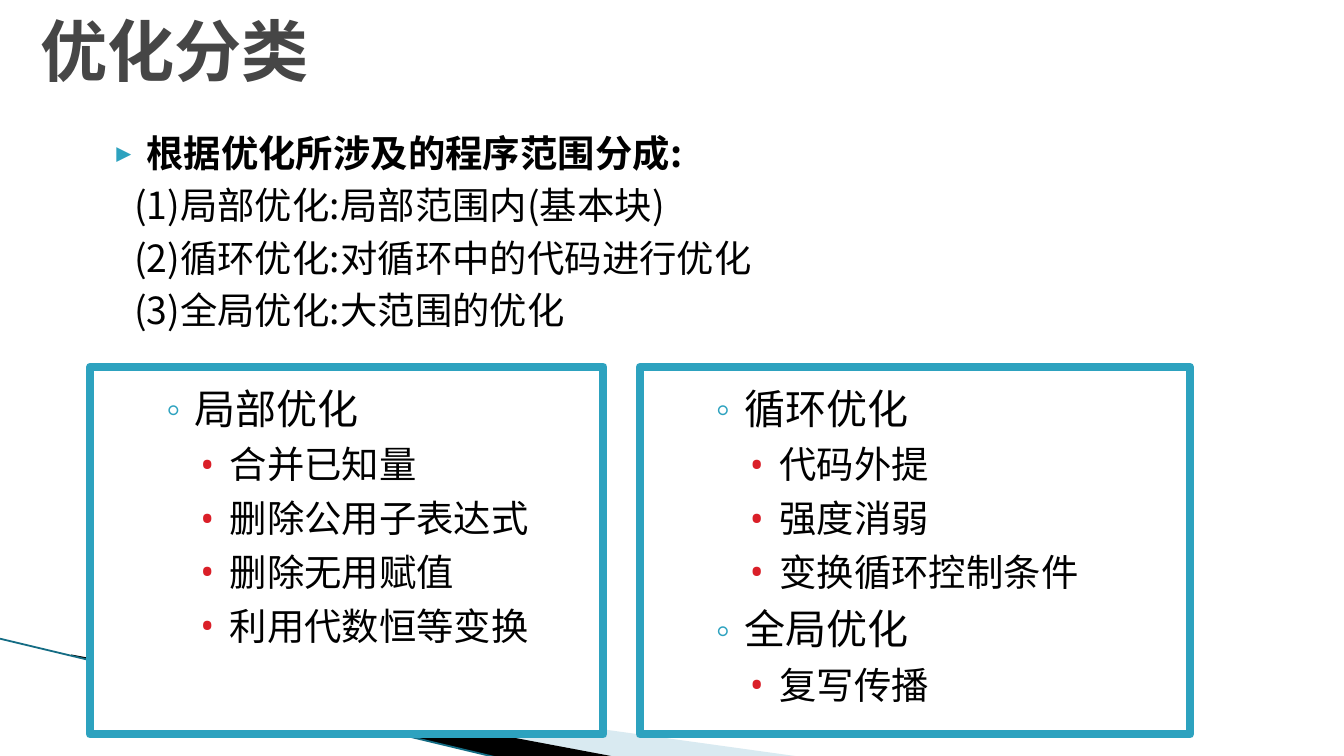
from dataclasses import dataclass

from lxml.etree import SubElement
from pptx import Presentation
from pptx.dml.color import RGBColor
from pptx.enum.shapes import MSO_CONNECTOR as Connector, MSO_SHAPE as Shape
from pptx.enum.text import MSO_ANCHOR as Anchor, PP_ALIGN as Align
from pptx.oxml.ns import qn
from pptx.util import Inches, Pt

COLUMNS, ROWS = 100, 56.25
CELL = Inches(0.1)


@dataclass(frozen=True)
class Theme:
    """Colours, fonts and type sizes of the slide."""
    title: str = "464646"
    text: str = "000000"
    paper: str = "FFFFFF"
    accent: str = "2DA2BF"
    item: str = "DA1F28"
    pale: str = "A0CBDC"
    rule: str = "146C84"
    font: str = "Noto Sans CJK SC"
    mono: str = "Noto Sans Mono"
    title_size: int = 36
    heading_size: int = 22
    body_size: int = 20


THEME = Theme()
INTRO = "根据优化所涉及的程序范围分成:"
SCOPES = ["(1)局部优化:局部范围内(基本块)",
          "(2)循环优化:对循环中的代码进行优化",
          "(3)全局优化:大范围的优化"]
LOCAL = {"局部优化": ["合并已知量", "删除公用子表达式", "删除无用赋值", "利用代数恒等变换"]}
WIDER = {"循环优化": ["代码外提", "强度消弱", "变换循环控制条件"], "全局优化": ["复写传播"]}


def grid(*cells):
    """Turn grid positions into slide lengths."""
    return [round(cell * CELL) for cell in cells]


def rgb(value):
    """Read a colour of the theme."""
    return RGBColor.from_string(value)


def style(paragraph, size, color=THEME.text, bold=False, font=THEME.font):
    """Format every run of a paragraph."""
    for run in paragraph.runs:
        run.font.size, run.font.bold, run.font.name = Pt(size), bold, font
        run.font.color.rgb = rgb(color)
        SubElement(run.font._element, qn("a:ea"), typeface=THEME.font)


def indent(paragraph, margin, hanging=0, bullet=None, color=THEME.accent, percent=100):
    """Set the indents and the bullet of a paragraph."""
    paragraph.alignment = Align.LEFT
    properties = paragraph._p.get_or_add_pPr()
    properties.set("marL", str(Inches(margin)))
    properties.set("indent", str(-Inches(hanging)))
    if bullet:
        holder = SubElement(properties, qn("a:buClr"))
        SubElement(holder, qn("a:srgbClr"), val=color)
        SubElement(properties, qn("a:buSzPct"), val=str(percent * 1000))
        SubElement(properties, qn("a:buFont"), typeface=THEME.mono)
        SubElement(properties, qn("a:buChar"), char=bullet)


def add_title(slide, text):
    """Place and format the title."""
    title = slide.shapes.title
    title.left, title.top, title.width, title.height = grid(2, 0, 85, 7.4)
    title.text_frame.text = text
    title.text_frame.vertical_anchor = Anchor.MIDDLE
    paragraph = title.text_frame.paragraphs[0]
    paragraph.alignment = Align.LEFT
    style(paragraph, THEME.title_size, THEME.title, bold=True)


def add_wedge(slide, points, color, alpha=100):
    """Draw one filled wedge of the corner decoration."""
    corners = [grid(*point) for point in points]
    builder = slide.shapes.build_freeform(*corners[0])
    builder.add_line_segments(corners[1:], close=True)
    wedge = builder.convert_to_shape()
    wedge.shadow.inherit = False
    wedge.line.fill.background()
    wedge.fill.solid()
    wedge.fill.fore_color.rgb = rgb(color)
    if alpha < 100:
        holder = wedge._element.spPr.find(qn("a:solidFill"))
        SubElement(holder[0], qn("a:alpha"), val=str(alpha * 1000))


def add_rule(slide, start, end):
    """Draw the thin slanted line of the corner decoration."""
    rule = slide.shapes.add_connector(Connector.STRAIGHT, *grid(*start, *end))
    rule.line.color.rgb = rgb(THEME.rule)
    rule.line.width = Pt(0.95)
    SubElement(rule._element.spPr, qn("a:effectLst"))


def add_intro(slide, heading, lines):
    """Write the bulleted heading with its numbered lines."""
    box = slide.shapes.add_textbox(*grid(5.9, 9.2, 88.2, 17.3))
    frame = box.text_frame
    frame.word_wrap = True
    frame.text = "\n".join([heading, *lines])
    for index, paragraph in enumerate(frame.paragraphs):
        paragraph.space_before = Pt(4 if index else 0)
        if index:
            indent(paragraph, 0.31)
        else:
            indent(paragraph, 0.4, 0.28, "▶", percent=68)
        style(paragraph, THEME.body_size, bold=index == 0)


def add_card(slide, left, width, groups, font):
    """Draw a framed card of headings with their items."""
    card = slide.shapes.add_shape(Shape.RECTANGLE, *grid(left, 27.3, width, 27.35))
    card.shadow.inherit = False
    card.fill.solid()
    card.fill.fore_color.rgb = rgb(THEME.paper)
    card.line.color.rgb = rgb(THEME.accent)
    card.line.width = Pt(4.33)
    SubElement(card.line._get_or_add_ln(), qn("a:round"))
    frame = card.text_frame
    frame.word_wrap = True
    frame.vertical_anchor = Anchor.TOP
    frame.text = "\n".join(line for heading, items in groups.items() for line in [heading, *items])
    for paragraph in frame.paragraphs:
        is_heading = paragraph.text in groups
        paragraph.level = 1 if is_heading else 2
        paragraph.line_spacing = 1.2
        if is_heading:
            indent(paragraph, 0.68, 0.25, "◦")
        else:
            indent(paragraph, 0.94, 0.25, "•", THEME.item)
        style(paragraph, THEME.heading_size if is_heading else THEME.body_size, font=font)


def main():
    """Build and save the slide."""
    presentation = Presentation()
    presentation.slide_width, presentation.slide_height = grid(COLUMNS, ROWS)
    slide = presentation.slides.add_slide(presentation.slide_layouts[5])
    add_wedge(slide, [(5.5, 48.8), (59.5, 56.3), (45.6, 56.3)], THEME.pale, alpha=40)
    add_wedge(slide, [(5.3, 48.7), (45.7, 56.3), (37.2, 56.4), (5.4, 48.8)], THEME.text)
    add_rule(slide, (-0.1, 47.5), (37.1, 56.4))
    add_title(slide, "优化分类")
    add_intro(slide, INTRO, SCOPES)
    add_card(slide, 6.7, 38.2, LOCAL, THEME.mono)
    add_card(slide, 47.6, 40.95, WIDER, THEME.font)
    presentation.save("out.pptx")


if __name__ == "__main__":
    main()
